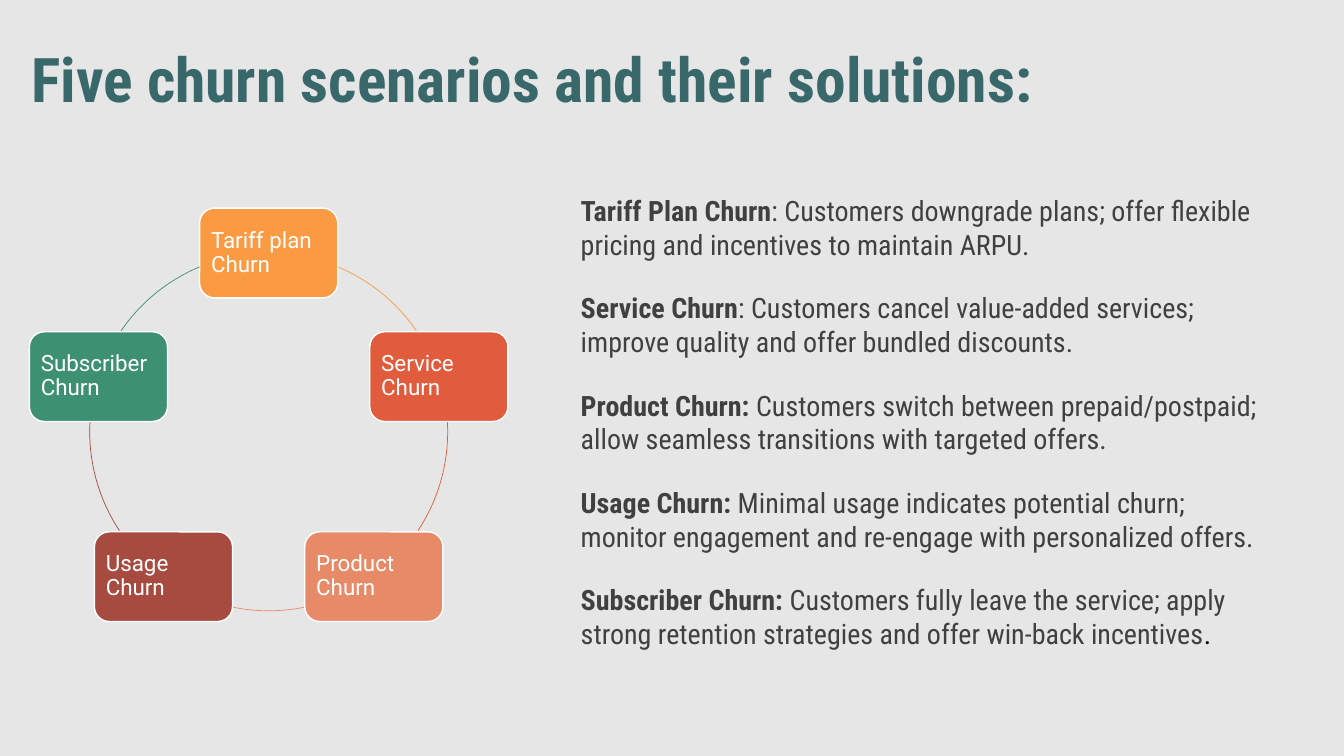
from math import cos, radians, sin

from pptx import Presentation, util as u
from pptx.dml.color import RGBColor
from pptx.enum import shapes, text
from pptx.oxml.ns import qn

WIDE, HIGH = 13.33, 7.5
INK = {
    "back": "E6E6E6", "title": "38686A", "body": "404040", "stop": "000000",
    "white": "FFFFFF", "tariff": "FA9A42", "service": "E15C3D",
    "product": "E78A67", "usage": "A74B40", "sub": "3D9072",
}
HEAD = "Five churn scenarios and their solutions:"
NODES = [
    ("Tariff plan Churn", "tariff", 292.7, 325.6),
    ("Service Churn", "service", 356.9, 33.5),
    ("Product Churn", "product", 78.4, 101.6),
    ("Usage Churn", "usage", 146.5, 183.1),
    ("Subscriber Churn", "sub", 214.4, 247.3),
]
NOTES = [
    [("Tariff Plan Churn", True, "body"),
     (": Customers downgrade plans; offer flexible pricing and incentives "
      "to maintain ARPU.", False, "body")],
    [("Service Churn", True, "body"),
     (": Customers cancel value-added services; improve quality and offer "
      "bundled discounts.", False, "body")],
    [("Product Churn: ", True, "body"),
     ("Customers switch between prepaid/postpaid; allow seamless transitions "
      "with targeted offers.", False, "body")],
    [("Usage Churn: ", True, "body"),
     ("Minimal usage indicates potential churn; monitor engagement and "
      "re-engage with personalized offers.", False, "body")],
    [("Subscriber Churn: ", True, "body"),
     ("Customers fully leave the service; apply strong retention strategies "
      "and offer win-back incentives", False, "body"),
     (".", False, "stop")],
]


def tint(name):
    """Return the named colour."""
    return RGBColor.from_string(INK[name])


def place(shape, box):
    """Move a shape to a box given in inches."""
    shape.left, shape.top, shape.width, shape.height = map(u.Inches, box)


def write(para, words, size, face, ink, bold=False):
    """Add one formatted run to a paragraph."""
    run = para.add_run()
    run.text = words
    font = run.font
    font.size, font.name, font.bold = u.Pt(size), face, bold
    font.color.rgb = tint(ink)


def title(slide, box):
    """Fill the title placeholder."""
    shape = slide.shapes.title
    place(shape, box)
    frame = shape.text_frame
    frame.auto_size = text.MSO_AUTO_SIZE.NONE
    frame.vertical_anchor = text.MSO_ANCHOR.BOTTOM
    para = frame.paragraphs[0]
    para.alignment = text.PP_ALIGN.LEFT
    para.line_spacing = 0.9
    write(para, HEAD, 44, "Roboto Condensed", "title", True)


def arc(slide, box, start, end, ink):
    """Draw one arc of the ring, with angles in degrees."""
    curve = slide.shapes.add_shape(shapes.MSO_SHAPE.ARC, *map(u.Inches, box))
    curve.adjustments[0], curve.adjustments[1] = start * 0.6, end * 0.6
    curve.shadow.inherit = False
    curve.fill.background()
    curve.line.color.rgb = tint(ink)
    curve.line.width = u.Pt(0.5)


def node(slide, box, words, ink):
    """Draw one rounded label of the ring."""
    card = slide.shapes.add_shape(
        shapes.MSO_SHAPE.ROUNDED_RECTANGLE, *map(u.Inches, box))
    card.shadow.inherit = False
    card.fill.solid()
    card.fill.fore_color.rgb = tint(ink)
    card.line.color.rgb = tint("white")
    card.line.width = u.Pt(1)
    frame = card.text_frame
    frame.word_wrap = True
    frame.vertical_anchor = text.MSO_ANCHOR.MIDDLE
    frame.margin_left = frame.margin_right = u.Inches(0.07)
    para = frame.paragraphs[0]
    para.alignment = text.PP_ALIGN.LEFT
    para.line_spacing = 0.9
    write(para, words, 16, "Roboto", "white")


def ring(slide, box):
    """Set the labels at equal steps around a circle that fills the box."""
    left, top, side, _ = box
    rad, wide, high = side / 2, 1.37, 0.89
    for i, (words, ink, start, end) in enumerate(NODES):
        turn = radians(360 / len(NODES) * i - 90)
        x = left + rad + rad * cos(turn) - wide / 2
        y = top + rad + rad * sin(turn) - high / 2
        arc(slide, box, start, end, ink)
        node(slide, (x, y, wide, high), words, ink)


def notes(slide, box):
    """Fill the body placeholder with the scenarios."""
    shape = slide.placeholders[1]
    place(shape, box)
    frame = shape.text_frame
    frame.auto_size = text.MSO_AUTO_SIZE.NONE
    frame.vertical_anchor = text.MSO_ANCHOR.TOP
    for i, runs in enumerate(NOTES):
        para = frame.add_paragraph() if i else frame.paragraphs[0]
        props = para._p.get_or_add_pPr()
        props.set("marL", "0")
        props.set("indent", "0")
        props.append(props.makeelement(qn("a:buNone"), {}))
        para.space_before = u.Pt(21.5 if i else 0)
        for words, bold, ink in runs:
            write(para, words, 20, "Roboto Condensed", ink, bold)


def main():
    """Build the slide and save it."""
    deck = Presentation()
    deck.slide_width, deck.slide_height = u.Inches(WIDE), u.Inches(HIGH)
    slide = deck.slides.add_slide(deck.slide_layouts[1])
    fill = slide.background.fill
    fill.solid()
    fill.fore_color.rgb = tint("back")
    title(slide, (0.21, 0.29, 10.26, 0.91))
    ring(slide, (0.89, 2.51, 3.55, 3.55))
    notes(slide, (5.66, 1.87, 7.08, 4.81))
    deck.save("out.pptx")


if __name__ == "__main__":
    main()
